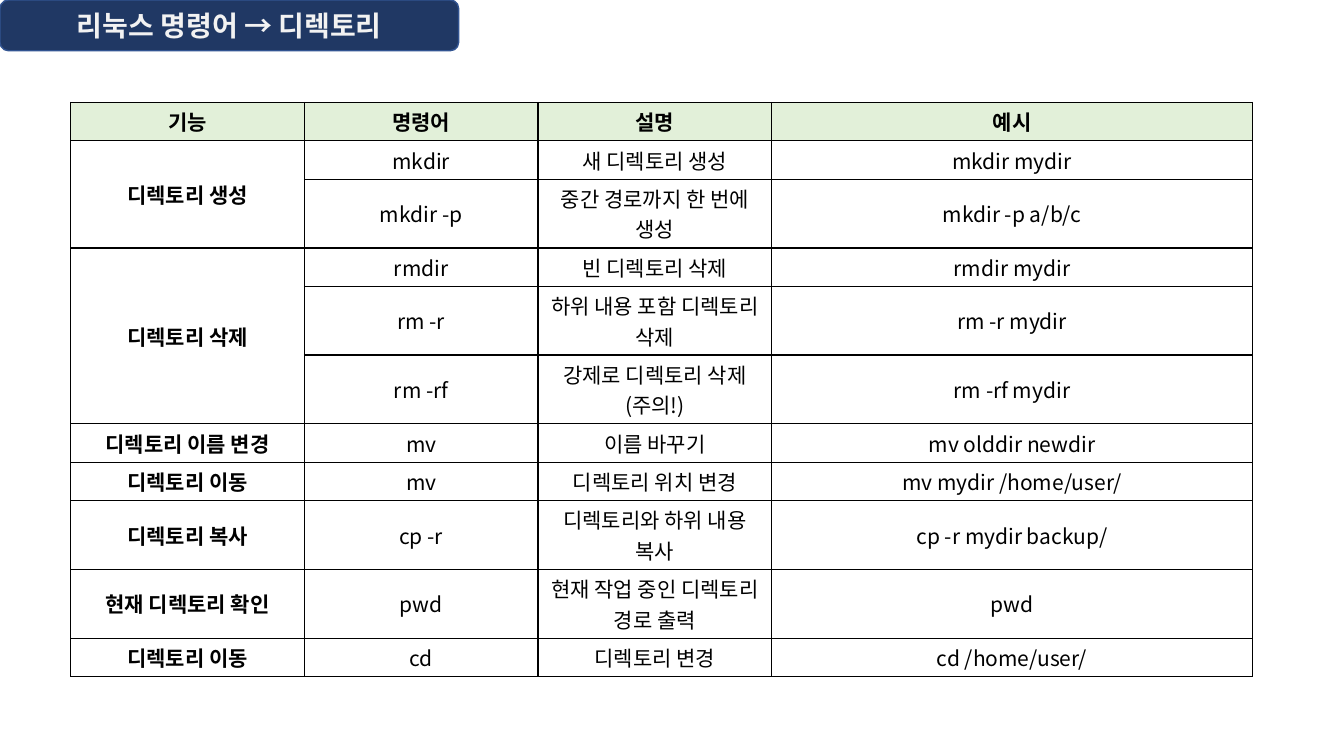
from lxml.etree import SubElement
from pptx import Presentation
from pptx.dml.color import RGBColor
from pptx.enum.shapes import MSO_SHAPE
from pptx.enum.text import MSO_ANCHOR, PP_ALIGN
from pptx.oxml.ns import qn
from pptx.util import Cm, Pt

FONT = "Noto Sans CJK KR"
HEADINGS = ("기능", "명령어", "설명", "예시")
COMMANDS = [
    ("디렉토리 생성", "mkdir", "새 디렉토리 생성", "mkdir mydir"),
    ("", "mkdir -p", "중간 경로까지 한 번에 생성", "mkdir -p a/b/c"),
    ("디렉토리 삭제", "rmdir", "빈 디렉토리 삭제", "rmdir mydir"),
    ("", "rm -r", "하위 내용 포함 디렉토리 삭제", "rm -r mydir"),
    ("", "rm -rf", "강제로 디렉토리 삭제 (주의!)", "rm -rf mydir"),
    ("디렉토리 이름 변경", "mv", "이름 바꾸기", "mv olddir newdir"),
    ("디렉토리 이동", "mv", "디렉토리 위치 변경", "mv mydir /home/user/"),
    ("디렉토리 복사", "cp -r", "디렉토리와 하위 내용 복사", "cp -r mydir backup/"),
    ("현재 디렉토리 확인", "pwd", "현재 작업 중인 디렉토리 경로 출력", "pwd"),
    ("디렉토리 이동", "cd", "디렉토리 변경", "cd /home/user/"),
]
TWO_LINE_ROWS = (2, 4, 5, 8, 9)


def paint(color_format, value):
    color_format.rgb = RGBColor.from_string(value)


def write(frame, text, size, color, bold):
    para = frame.paragraphs[0]
    para.alignment = PP_ALIGN.CENTER
    span = para.add_run()
    span.text = text
    span.font.size = Pt(size)
    span.font.bold = bold
    span.font.name = FONT
    paint(span.font.color, color)
    SubElement(span.font._element, qn("a:ea"), typeface=FONT)


deck = Presentation()
deck.slide_width = Cm(33.87)
deck.slide_height = Cm(19.05)
page = deck.slides.add_slide(deck.slide_layouts[6])

title = page.shapes.add_shape(MSO_SHAPE.ROUNDED_RECTANGLE, 0, 0, Cm(11.56), Cm(1.28))
title.shadow.inherit = False
title.fill.solid()
paint(title.fill.fore_color, "203864")
paint(title.line.color, "325491")
title.line.width = Pt(1)
title.text_frame.vertical_anchor = MSO_ANCHOR.MIDDLE
write(title.text_frame, "리눅스 명령어 → 디렉토리", 20, "F2F2F2", True)

rows = [HEADINGS] + COMMANDS
holder = page.shapes.add_table(len(rows), len(HEADINGS), Cm(1.78), Cm(2.58), Cm(29.78), Cm(13.92))
table = holder.table
table.first_row = False
table.horz_banding = False
for column, width in zip(table.columns, (5.89, 5.89, 5.89, 12.11)):
    column.width = Cm(width)

for row_index, row in enumerate(rows):
    table.rows[row_index].height = Cm(1.65 if row_index in TWO_LINE_ROWS else 0.94)
    for column_index, text in enumerate(row):
        cell = table.cell(row_index, column_index)
        cell.vertical_anchor = MSO_ANCHOR.MIDDLE
        cell.margin_left = cell.margin_right = Cm(0.2)
        cell.margin_top = cell.margin_bottom = Cm(0.1)
        properties = cell._tc.get_or_add_tcPr()
        for side in ("a:lnL", "a:lnR", "a:lnT", "a:lnB"):
            border = SubElement(properties, qn(side), w=str(Pt(1)))
            SubElement(SubElement(border, qn("a:solidFill")), qn("a:srgbClr"), val="000000")
        cell.fill.solid()
        paint(cell.fill.fore_color, "E2F0D9" if row_index == 0 else "FFFFFF")
        if text:
            write(cell.text_frame, text, 15, "000000", row_index == 0 or column_index == 0)

for first, last in ((1, 2), (3, 5)):
    table.cell(first, 0).merge(table.cell(last, 0))

deck.save("out.pptx")
